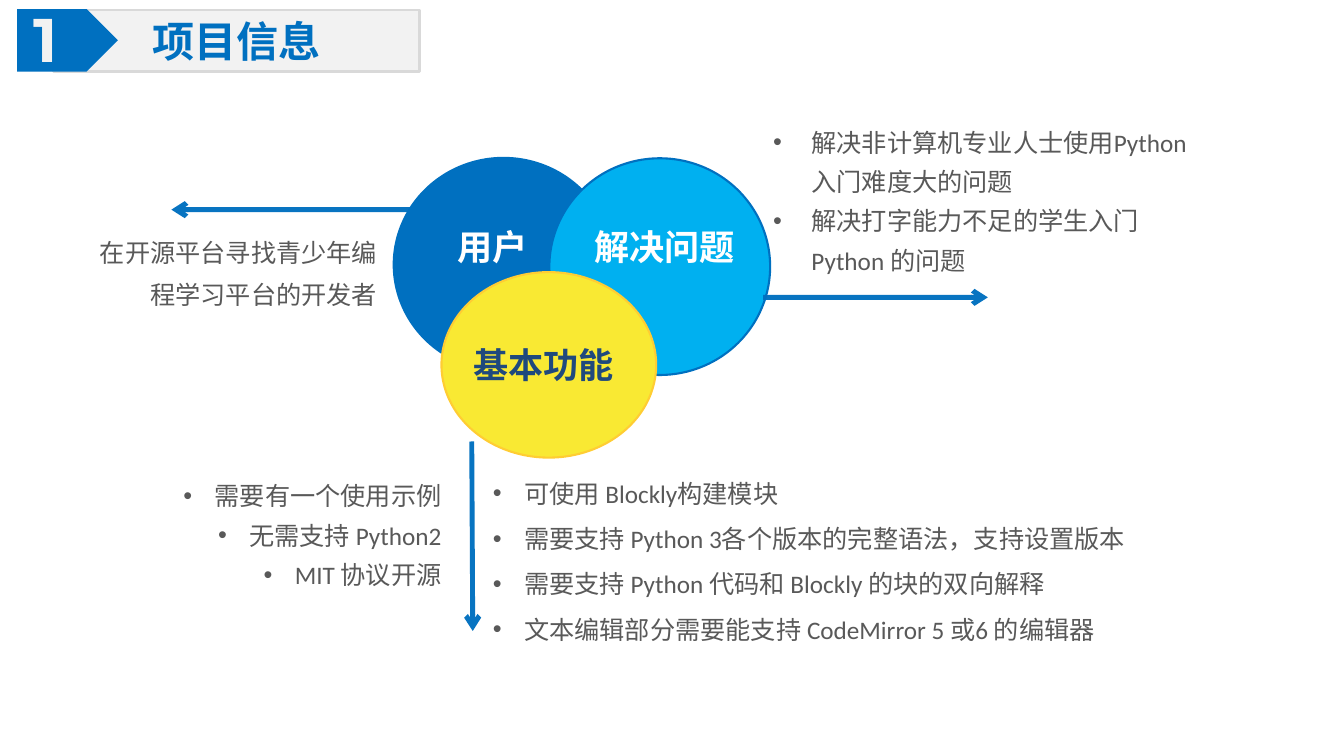
import pptx
import pptx.dml.color
import pptx.enum.shapes
import pptx.enum.text
import pptx.oxml.ns
import pptx.util
import lxml.etree

RGBColor = pptx.dml.color.RGBColor
BLUE = RGBColor(0x00, 0x70, 0xC0)
SKY = RGBColor(0x00, 0xB0, 0xF0)
YELLOW = RGBColor(0xF9, 0xE9, 0x33)
AMBER = RGBColor(0xFF, 0xCD, 0x33)
NAVY = RGBColor(0x1F, 0x49, 0x7D)
WHITE = RGBColor(0xFF, 0xFF, 0xFF)
PALE = RGBColor(0xF2, 0xF2, 0xF2)
SILVER = RGBColor(0xD9, 0xD9, 0xD9)
GRAY = RGBColor(0x59, 0x59, 0x59)

COLUMNS, ROWS = 133.33, 75
CELL = pptx.util.Inches(0.1)
CJK_FONT = "Noto Sans CJK SC"
SHAPES = pptx.enum.shapes.MSO_SHAPE
ALIGN = pptx.enum.text.PP_ALIGN
ANCHOR = pptx.enum.text.MSO_ANCHOR
qn = pptx.oxml.ns.qn


class SlideBuilder:
    """Draws styled elements on one slide, measured in grid columns and rows."""

    def __init__(self, presentation, layout):
        self.slide = presentation.slides.add_slide(presentation.slide_layouts[layout])

    def cells(self, *counts):
        return [round(count * CELL) for count in counts]

    def outline(self, shape, color, width):
        shape.line.color.rgb = color
        shape.line.width = pptx.util.Pt(width)

    def shape(self, kind, box, fill, line=None, width=0):
        shape = self.slide.shapes.add_shape(kind, *self.cells(*box))
        shape.shadow.inherit = False
        shape.fill.solid()
        shape.fill.fore_color.rgb = fill
        if line is None:
            shape.line.fill.background()
        else:
            self.outline(shape, line, width)

    def add_text(self, frame, lines, size, color, font, bold=False, align=ALIGN.LEFT,
                 spacing=1.0, anchor=ANCHOR.TOP):
        frame.word_wrap = True
        frame.auto_size = pptx.enum.text.MSO_AUTO_SIZE.NONE
        frame.vertical_anchor = anchor
        for index, line in enumerate(lines):
            paragraph = frame.add_paragraph() if index else frame.paragraphs[0]
            paragraph.alignment = align
            paragraph.line_spacing = spacing
            paragraph.space_before = pptx.util.Pt(0)
            run = paragraph.add_run()
            run.text = line
            run.font.size = pptx.util.Pt(size)
            run.font.bold = bold
            run.font.color.rgb = color
            run.font.name = font
            east_asian = lxml.etree.SubElement(run._r.get_or_add_rPr(), qn("a:ea"))
            east_asian.set("typeface", CJK_FONT)

    def placeholder(self, index, box):
        shape = self.slide.placeholders[index]
        shape.left, shape.top, shape.width, shape.height = self.cells(*box)
        return shape

    def title(self, text, box):
        shape = self.placeholder(0, box)
        shape.fill.solid()
        shape.fill.fore_color.rgb = PALE
        self.outline(shape, SILVER, 2)
        self.add_text(shape.text_frame, [text], 30.1, BLUE, CJK_FONT, True,
                      ALIGN.CENTER, anchor=ANCHOR.MIDDLE)

    def body(self, index, box, lines, spacing, indent=0, align=ALIGN.LEFT):
        frame = self.placeholder(index, box).text_frame
        self.add_text(frame, lines, 18, GRAY, "Calibri" if indent else CJK_FONT,
                      align=align, spacing=spacing)
        margin, = self.cells(indent)
        for paragraph in frame.paragraphs:
            properties = paragraph._p.get_or_add_pPr()
            properties.set("marL", str(margin))
            properties.set("indent", str(-margin))
            if indent:
                lxml.etree.SubElement(properties, qn("a:buFont")).set("typeface", "Arial")
                lxml.etree.SubElement(properties, qn("a:buChar")).set("char", "•")
            else:
                lxml.etree.SubElement(properties, qn("a:buNone"))

    def label(self, text, box, color, size=25.1, font=CJK_FONT, align=ALIGN.LEFT):
        frame = self.slide.shapes.add_textbox(*self.cells(*box)).text_frame
        self.add_text(frame, [text], size, color, font, True, align)

    def arrow(self, start, end):
        connector = self.slide.shapes.add_connector(
            pptx.enum.shapes.MSO_CONNECTOR.STRAIGHT, *self.cells(*start, *end))
        self.outline(connector, BLUE, 3.5)
        properties = connector.element.spPr
        line = properties.find(qn("a:ln"))
        color = line.find(qn("a:solidFill")).find(qn("a:srgbClr"))
        lxml.etree.SubElement(color, qn("a:alpha")).set("val", "97000")
        lxml.etree.SubElement(line, qn("a:tailEnd")).set("type", "arrow")
        lxml.etree.SubElement(properties, qn("a:effectLst"))


def main():
    presentation = pptx.Presentation()
    presentation.slide_width = round(COLUMNS * CELL)
    presentation.slide_height = ROWS * CELL
    builder = SlideBuilder(presentation, 4)

    builder.title("项目信息", (5.3, 1, 36.3, 6.1))
    builder.shape(SHAPES.PENTAGON, (1.7, 0.9, 10, 6.2), BLUE)
    builder.label("1", (2.3, -0.4, 4.8, 8.4), PALE, 44, "Montserrat")

    for box, fill, line, width in (
        ((39.1, 15.7, 21.7, 21.1), BLUE, BLUE, 2),
        ((54.5, 15.7, 21.9, 21.5), SKY, BLUE, 1.5),
        ((43.8, 27, 21.3, 18.4), YELLOW, AMBER, 1.5),
    ):
        builder.shape(SHAPES.OVAL, box, fill, line, width)
    builder.label("用户", (42.5, 21.9, 12.8, 5.2), WHITE, align=ALIGN.CENTER)
    builder.label("解决问题", (58, 21.9, 17.7, 5.2), WHITE)
    builder.label("基本功能", (46, 33.6, 18.4, 5.2), NAVY)

    for start, end in (
        ((75.7, 29.5), (98, 29.5)),
        ((46.8, 43.8), (46.9, 62.6)),
        ((41.4, 20.8), (17, 20.8)),
    ):
        builder.arrow(start, end)

    builder.body(1, (7, 21.8, 31.4, 14), ["在开源平台寻找青少年编程学习平台的开发者"],
                 1.4, align=ALIGN.RIGHT)
    builder.body(2, (75.7, 11.2, 45.3, 16.7), [
        "解决非计算机专业人士使用Python 入门难度大的问题",
        "解决打字能力不足的学生入门Python 的问题",
    ], 1.3, 3.8)
    builder.body(3, (17, 46.3, 27.8, 12.8), [
        "需要有⼀个使用示例",
        "无需支持 Python2",
        "MIT 协议开源",
    ], 1.3, 3.1, ALIGN.RIGHT)
    builder.body(4, (47.9, 45.4, 77.2, 19.2), [
        "可使用 Blockly构建模块",
        "需要支持 Python 3各个版本的完整语法，支持设置版本",
        "需要支持 Python 代码和 Blockly 的块的双向解释",
        "文本编辑部分需要能支持 CodeMirror 5 或6 的编辑器",
    ], 1.5, 3.1)
    presentation.save("out.pptx")


if __name__ == "__main__":
    main()
